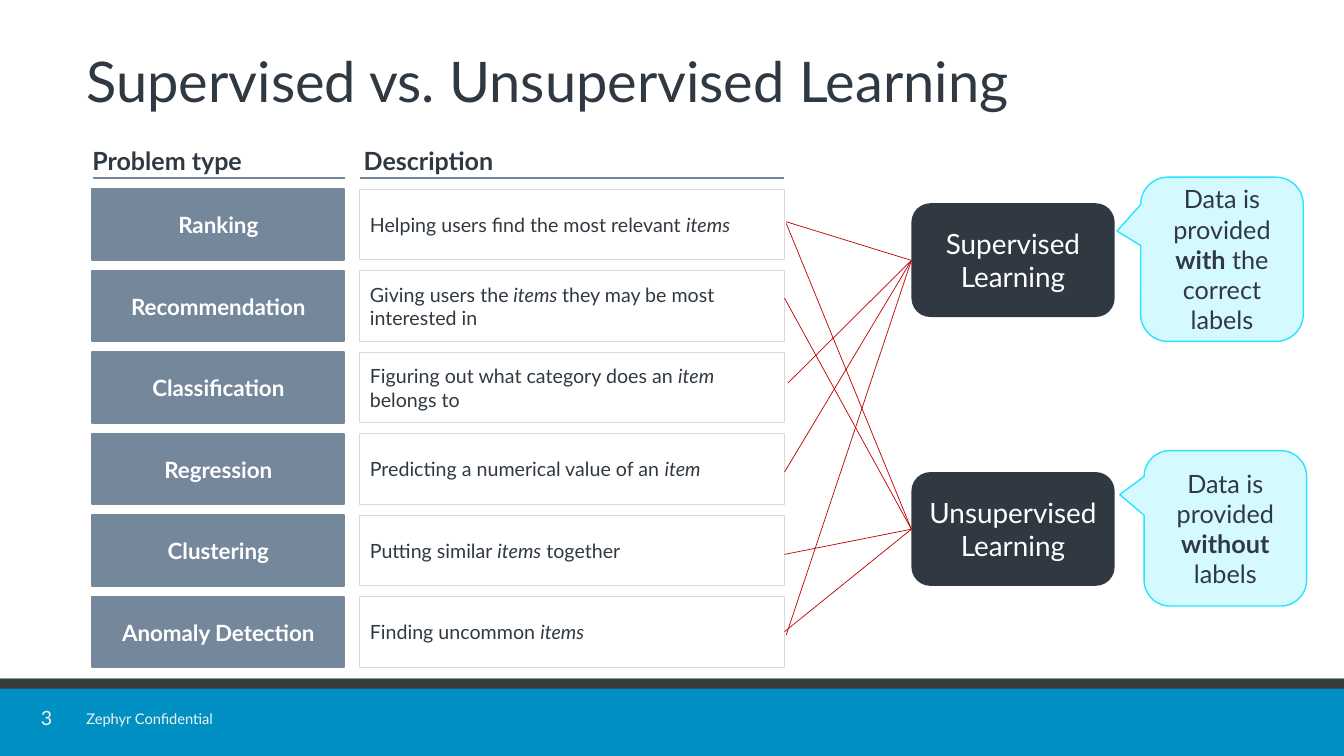
from dataclasses import dataclass

from lxml import etree
from pptx import Presentation
from pptx.dml.color import RGBColor
from pptx.enum.shapes import MSO_CONNECTOR, MSO_SHAPE
from pptx.enum.text import MSO_ANCHOR, PP_ALIGN
from pptx.oxml.ns import qn
from pptx.util import Inches, Pt

RECT = MSO_SHAPE.RECTANGLE
ROUND = MSO_SHAPE.ROUNDED_RECTANGLE
BUBBLE = MSO_SHAPE.ROUNDED_RECTANGULAR_CALLOUT
LINE = MSO_CONNECTOR.STRAIGHT
LEFT, MID = PP_ALIGN.LEFT, PP_ALIGN.CENTER
TOP, CORE = MSO_ANCHOR.TOP, MSO_ANCHOR.MIDDLE
COLS, ROWS = 160, 90


@dataclass(frozen=True)
class Theme:
    font: str = "Lato"
    ink: str = "303942"
    slate: str = "75889B"
    white: str = "FFFFFF"
    pale: str = "F2F2F2"
    blue: str = "0090C3"
    dark: str = "383D3B"
    red: str = "C00000"
    edge: str = "D9D9D9"
    ice: str = "D4FAFF"
    cyan: str = "27E4FF"
    title: float = 40
    node: float = 19.9
    note: float = 18
    head: float = 17.9
    label: float = 16
    body: float = 14
    foot: float = 10.5


class Board:
    """Draws styled elements on one slide, measured in grid columns and rows."""

    def __init__(self, deck, theme):
        self.theme = theme
        self.wide, self.high = deck.slide_width, deck.slide_height
        self.slide = deck.slides.add_slide(deck.slide_layouts[5])

    def x(self, col):
        return round(self.wide * col / COLS)

    def y(self, row):
        return round(self.high * row / ROWS)

    def frame(self, box):
        left, top, wide, high = box
        return self.x(left), self.y(top), self.x(wide), self.y(high)

    def fill_text(self, shape, runs, size, color, align=LEFT, anchor=CORE,
                  space=1.0, pad=(0.1, 0.05, 0.1, 0.05), wrap=True):
        text = shape.text_frame
        text.word_wrap = wrap
        text.vertical_anchor = anchor
        (text.margin_left, text.margin_top,
         text.margin_right, text.margin_bottom) = map(Inches, pad)
        para = text.paragraphs[0]
        para.alignment = align
        para.line_spacing = space
        for words, style in runs:
            run = para.add_run()
            run.text = words
            font = run.font
            font.name, font.size = self.theme.font, Pt(size)
            font.bold, font.italic = style == "b", style == "i"
            font.color.rgb = RGBColor.from_string(color)

    def title(self, words, box):
        shape = self.slide.shapes.title
        shape.left, shape.top, shape.width, shape.height = self.frame(box)
        self.fill_text(shape, [(words, "")], self.theme.title, self.theme.ink, space=0.8)

    def text(self, box, runs, size, color, **style):
        shape = self.slide.shapes.add_textbox(*self.frame(box))
        self.fill_text(shape, runs, size, color, **style)

    def shape(self, kind, box, fill=None, edge=None, width=1, bends=()):
        shape = self.slide.shapes.add_shape(kind, *self.frame(box))
        shape.shadow.inherit = False
        for spot, bend in enumerate(bends):
            shape.adjustments[spot] = bend
        if fill:
            shape.fill.solid()
            shape.fill.fore_color.rgb = RGBColor.from_string(fill)
        else:
            shape.fill.background()
        if edge:
            shape.line.color.rgb = RGBColor.from_string(edge)
            shape.line.width = Pt(width)
        else:
            shape.line.fill.background()
        return shape

    def line(self, start, end, color, width):
        link = self.slide.shapes.add_connector(
            LINE, self.x(start[0]), self.y(start[1]), self.x(end[0]), self.y(end[1]))
        link.line.color.rgb = RGBColor.from_string(color)
        link.line.width = Pt(width)
        etree.SubElement(link._element.spPr, qn("a:effectLst"))


TYPES = [
    ("Ranking", [("Helping users find the most relevant ", ""), ("items", "i")]),
    ("Recommendation", [("Giving users the", ""), (" items ", "i"),
                        ("they may be most interested in", "")]),
    ("Classification", [("Figuring out what category does an ", ""), ("item", "i"),
                        (" belongs to", "")]),
    ("Regression", [("Predicting a numerical value of an ", ""), ("item", "i")]),
    ("Clustering", [("Putting similar ", ""), ("items", "i"), (" together", "")]),
    ("Anomaly Detection", [("Finding uncommon ", ""), ("items", "i")]),
]
HEADS = [("Problem type", 11, 11.1, 30), ("Description", 43.3, 42.85, 50.5)]
NODES = [
    ("Supervised Learning", 24.2, 31,
     [(93.6, 26.4), (93.8, 45.6), (93.4, 56.2), (93.6, 75.6)],
     (135.8, 21.1, 19.35, 19.55), (-0.646, -0.172, 0.167),
     [("Data is provided ", ""), ("with", "b"), (" the correct labels", "")]),
    ("Unsupervised Learning", 56.2, 63,
     [(93.6, 26.6), (93.4, 35.5), (93.4, 66), (93.4, 75.2)],
     (136.2, 53.65, 19.35, 18.5), (-0.65, -0.217, 0.167),
     [("Data is provided ", ""), ("without", "b"), (" labels", "")]),
]


def main():
    deck = Presentation()
    deck.slide_width, deck.slide_height = Inches(13.33), Inches(7.5)
    look = Theme()
    board = Board(deck, look)

    board.shape(RECT, (0, 80.8, COLS, 9.2), look.blue)
    board.shape(RECT, (0, 80.8, COLS, 1.2), look.dark)
    board.text((4, 84.2, 3.1, 2.8), [("3", "")], look.body, look.pale,
               align=MID, space=0.9, pad=(0, 0, 0, 0))
    board.text((9.1, 83.9, 19.2, 3.3), [("Zephyr Confidential", "")],
               look.foot, look.pale, anchor=TOP, wrap=False)
    board.title("Supervised vs. Unsupervised Learning", (9.1, 3.8, 142.9, 13))

    for words, left, rule, wide in HEADS:
        board.text((left, 16, wide, 5), [(words, "b")], look.head, look.ink,
                   anchor=TOP, space=1.2, pad=(0, 0.05, 0.1, 0.05))
        board.line((rule, 21.15), (rule + wide, 21.15), look.slate, 1.5)

    for spot, (name, about) in enumerate(TYPES):
        top = 22.55 + 9.7 * spot
        label = board.shape(RECT, (11, top, 30, 8.4), look.slate, look.slate, 1.5)
        board.fill_text(label, [(name, "b")], look.label, look.white, align=MID)
        cell = board.shape(RECT, (42.85, top, 50.5, 8.4), edge=look.edge, width=0.75)
        board.fill_text(cell, about, look.body, look.ink)

    for name, top, hub, ends, box, bends, note in NODES:
        for end in ends:
            board.line((108.5, hub), end, look.red, 0.5)
        node = board.shape(ROUND, (108.5, top, 24.2, 13.55), look.ink)
        board.fill_text(node, [(name, "")], look.node, look.white, align=MID)
        bubble = board.shape(BUBBLE, box, look.ice, look.cyan, 1, bends)
        board.fill_text(bubble, note, look.note, look.ink, align=MID)

    deck.save("out.pptx")


if __name__ == "__main__":
    main()
